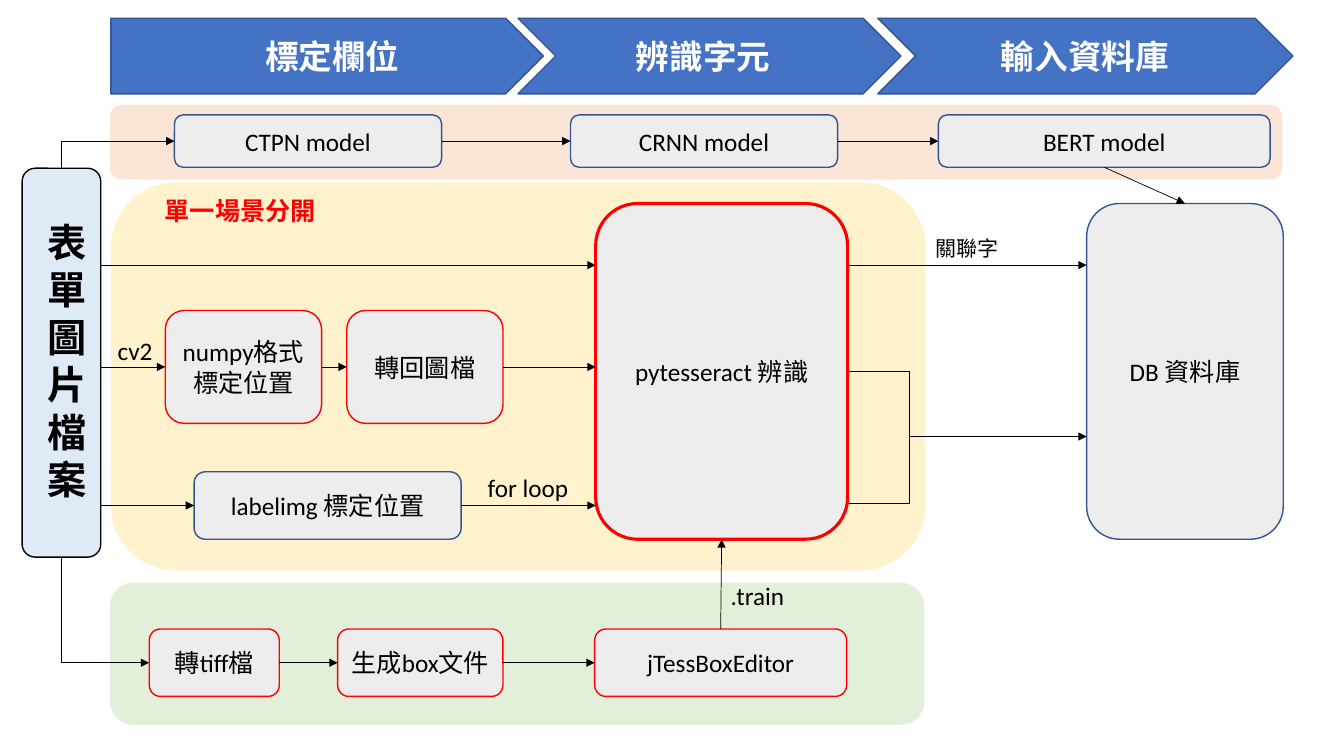
from dataclasses import dataclass

from lxml.etree import SubElement
from pptx import Presentation
from pptx.dml.color import RGBColor
from pptx.enum.shapes import MSO_CONNECTOR as LINE, MSO_SHAPE as SHAPE
from pptx.enum.text import MSO_ANCHOR as ANCHOR, MSO_AUTO_SIZE as FIT, PP_ALIGN as ALIGN
from pptx.oxml.ns import qn
from pptx.util import Pt


@dataclass(frozen=True)
class Theme:
    latin: str = "Calibri"
    cjk: str = "Noto Sans CJK SC"
    ink: str = "000000"
    white: str = "FFFFFF"
    red: str = "FF0000"
    banner: str = "4472C4"
    navy: str = "325491"
    box: str = "EDEDED"
    source: str = "DEEBF7"
    peach: str = "FBE5D6"
    yellow: str = "FFF2CC"
    green: str = "E2F0D9"
    note: float = 15
    body: float = 18
    heading: float = 24
    title: float = 28
    wire: float = 0.5
    edge: float = 1
    thick: float = 2.25


THEME = Theme()


def write(frame, text, size=THEME.body, font=THEME.latin, color=THEME.ink,
          bold=False, align=ALIGN.CENTER, spacing=None):
    """Fill a text frame, one paragraph for each line of text."""
    for i, line in enumerate(text.split("\n")):
        paragraph = frame.add_paragraph() if i else frame.paragraphs[0]
        paragraph.alignment = align
        run = paragraph.add_run()
        run.text = line
        run.font.size, run.font.name, run.font.bold = Pt(size), font, bold
        run.font.color.rgb = RGBColor.from_string(color)
        props = run._r.get_or_add_rPr()
        SubElement(props, qn("a:ea"), typeface=THEME.cjk)
        if spacing:
            props.set("spc", str(spacing * 100))


class Diagram:
    def __init__(self, slide, theme):
        self.slide, self.theme = slide, theme

    def shape(self, kind, x, y, w, h, fill, line=None, weight=None):
        shape = self.slide.shapes.add_shape(kind, Pt(x), Pt(y), Pt(w), Pt(h))
        shape.shadow.inherit = False
        shape.fill.solid()
        shape.fill.fore_color.rgb = RGBColor.from_string(fill)
        if line:
            shape.line.color.rgb = RGBColor.from_string(line)
            shape.line.width = Pt(weight or self.theme.edge)
        else:
            shape.line.fill.background()
        return shape

    def box(self, text, x, y, w, h, line, weight=None):
        box = self.shape(SHAPE.ROUNDED_RECTANGLE, x, y, w, h, self.theme.box, line, weight)
        box.text_frame.word_wrap = True
        box.text_frame.vertical_anchor = ANCHOR.MIDDLE
        write(box.text_frame, text)
        return box

    def label(self, text, x, y, w, h, wrap=False, vertical=False, **style):
        frame = self.slide.shapes.add_textbox(Pt(x), Pt(y), Pt(w), Pt(h)).text_frame
        frame.word_wrap = wrap
        frame.auto_size = FIT.SHAPE_TO_FIT_TEXT
        if vertical:
            frame._txBody.bodyPr.set("vert", "eaVert")
        write(frame, text, **{"align": ALIGN.LEFT, **style})

    def wire(self, *points, arrow=True):
        """Join points by straight lines; only the last one gets a head."""
        for start, end in zip(points, points[1:]):
            wire = self.slide.shapes.add_connector(
                LINE.STRAIGHT, *(Pt(v) for v in (*start, *end)))
            wire.line.color.rgb = RGBColor.from_string(self.theme.ink)
            wire.line.width = Pt(self.theme.wire)
            if arrow and end == points[-1]:
                SubElement(wire.line._get_or_add_ln(), qn("a:tailEnd"), type="triangle")
            SubElement(wire.element.spPr, qn("a:effectLst"))

    def flow(self, *boxes, y=None):
        """Arrow from each box to the next, at y or the first target's middle."""
        y = y or middle(boxes[1])
        for left, right in zip(boxes, boxes[1:]):
            self.wire((right_edge(left), y), (right.left.pt, y))


def middle(shape):
    return shape.top.pt + shape.height.pt / 2


def center(shape):
    return shape.left.pt + shape.width.pt / 2


def right_edge(shape):
    return shape.left.pt + shape.width.pt


def bottom(shape):
    return shape.top.pt + shape.height.pt


deck = Presentation()
deck.slide_width, deck.slide_height = Pt(960), Pt(540)
t = THEME
d = Diagram(deck.slides.add_slide(deck.slide_layouts[6]), t)

# Background lanes
for x, y, w, h, fill in ((78.5, 75, 837.5, 53.3, t.peach),
                         (78.5, 416.2, 581.8, 101.5, t.green),
                         (79.2, 130.3, 581.8, 277.2, t.yellow)):
    d.shape(SHAPE.ROUNDED_RECTANGLE, x, y, w, h, fill)

# Stage banner
for kind, x, w, stage, text_x, text_w in (
        (SHAPE.PENTAGON, 79.2, 309, "標定欄位", 182.2, 111.6),
        (SHAPE.CHEVRON, 370, 273.6, "辨識字元", 447.1, 111.6),
        (SHAPE.CHEVRON, 627, 296.6, "輸入資料庫", 707.8, 135.4)):
    d.shape(kind, x, 13, w, 54, t.banner, t.navy)
    d.label(stage, text_x, 22, text_w, 36, size=t.heading, font=t.cjk,
            color=t.white, bold=True)

# Form images on the left
forms = d.shape(SHAPE.ROUNDED_RECTANGLE, 15.8, 120.2, 56.2, 277.8, t.source, t.ink)
d.label("表單圖片檔案", 19.4, 152, 48.2, 213, vertical=True, size=t.title,
        font=t.cjk, bold=True, align=ALIGN.JUSTIFY, spacing=6)

# Recognition and database
ocr = d.box("pytesseract 辨識", 425.5, 145.4, 180, 239.8, t.red, t.thick)
database = d.box("DB 資料庫", 776.2, 145.4, 140.4, 239.8, t.navy)

# Model lane
ctpn, crnn, bert = (d.box(f"{name} model", x, 82.1, w, 37.4, t.navy)
                    for name, x, w in (("CTPN", 124.6, 190.8),
                                       ("CRNN", 407.5, 190.8),
                                       ("BERT", 670.3, 236.9)))
d.flow(ctpn, crnn, bert)
d.wire((center(bert), bottom(bert)), (center(database), database.top.pt))

# Single scene lane
d.label("單一場景分開", 109.4, 136, 124.6, 28.8, wrap=True, font=t.cjk,
        color=t.red, bold=True, align=ALIGN.CENTER)
d.flow(forms, ocr, database, y=189.4)
d.label("關聯字", 661, 164.9, 59.8, 25.2, size=t.note, font=t.cjk)

numpy_box, image_box = (d.box(text, x, 221.8, 111.6, 80.6, t.red)
                        for text, x in (("numpy格式\n標定位置", 118.1),
                                        ("轉回圖檔", 247.7)))
d.flow(forms, numpy_box, image_box, ocr, y=middle(numpy_box))
d.label("cv2", 72.7, 236.2, 47.5, 28.8, wrap=True, align=ALIGN.CENTER)

labelimg = d.box("labelimg 標定位置", 138.6, 337, 190.8, 48.2, t.navy)
d.flow(forms, labelimg, ocr)
d.label("for loop", 341.3, 334, 72.7, 28.8)

# Lower outputs of recognition merge on the way to the database
merge_x, upper_y, lower_y, merge_y = 649.8, 265, 359.3, 311.8
d.wire((right_edge(ocr), upper_y), (merge_x, upper_y), (merge_x, lower_y),
       (right_edge(ocr), lower_y), arrow=False)
d.wire((merge_x, merge_y), (database.left.pt, merge_y))

# Training lane
tiff, box_file, editor = (d.box(text, x, 449.3, w, 48.2, t.red)
                          for text, x, w in (("轉tiff檔", 106.6, 92.9),
                                             ("生成box文件", 241.2, 118.1),
                                             ("jTessBoxEditor", 424.8, 180)))
d.flow(tiff, box_file, editor)
d.wire((center(editor), editor.top.pt), (center(ocr), bottom(ocr)))
d.label(".train", 514.8, 411.1, 53.3, 28.8)

# Form images branch up to the models and down to training
for start_y, target in ((forms.top.pt, ctpn), (bottom(forms), tiff)):
    d.wire((center(forms), start_y), (center(forms), middle(target)),
           (target.left.pt, middle(target)))

deck.save("out.pptx")
